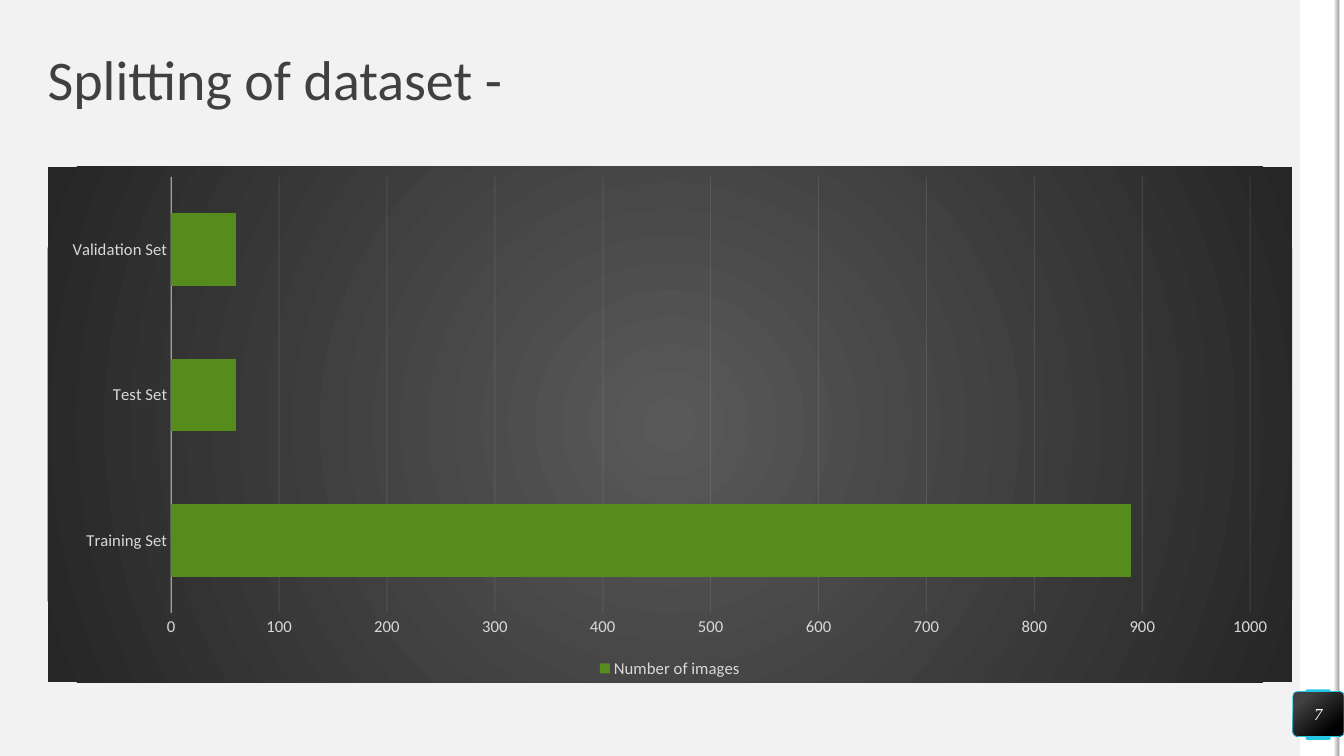
"""Build the slide that shows how the image dataset is split."""
from lxml import etree
from pptx import Presentation
from pptx.chart.data import CategoryChartData
from pptx.dml.color import RGBColor
from pptx.enum.chart import XL_CHART_TYPE as ChartType, XL_LEGEND_POSITION as LegendPosition
from pptx.enum.chart import XL_TICK_MARK as TickMark
from pptx.enum.shapes import MSO_SHAPE as Shape
from pptx.enum.text import MSO_ANCHOR as Anchor, MSO_AUTO_SIZE as AutoSize, PP_ALIGN as Align
from pptx.oxml import parse_xml
from pptx.oxml.ns import nsdecls, qn
from pptx.util import Pt

WHITE = RGBColor(0xFF, 0xFF, 0xFF)
PALE = RGBColor(0xF2, 0xF2, 0xF2)
SILVER = RGBColor(0xA6, 0xA6, 0xA6)
LABEL = RGBColor(0xD9, 0xD9, 0xD9)
CHARCOAL = RGBColor(0x40, 0x40, 0x40)
BLACK = RGBColor(0, 0, 0)
CYAN = RGBColor(0x25, 0xC6, 0xE3)
GREEN = RGBColor(0x55, 0x8C, 0x1C)
CHART_CENTRE = RGBColor(0x59, 0x59, 0x59)
CHART_EDGE = RGBColor(0x26, 0x26, 0x26)


def set_gradient(fill, stops, angle):
    """Apply a two-stop linear gradient with a counter-clockwise angle."""
    fill.gradient()
    fill.gradient_angle = angle
    for stop, (position, color) in zip(fill.gradient_stops, stops):
        stop.position = position
        stop.color.rgb = color


def add_block(slide, place, color=None, corner=None):
    """Add a plain rectangle, rounded if a corner ratio is given."""
    kind = Shape.RECTANGLE if corner is None else Shape.ROUNDED_RECTANGLE
    block = slide.shapes.add_shape(kind, *map(Pt, place))
    block.shadow.inherit = False
    block.line.fill.background()
    if corner is not None:
        block.adjustments[0] = corner
    if color is not None:
        block.fill.solid()
        block.fill.fore_color.rgb = color
    return block


def write_text(shape, text, size, name, color, align):
    """Write one paragraph in a frame without margins."""
    frame = shape.text_frame
    frame.margin_left = frame.margin_top = frame.margin_right = frame.margin_bottom = 0
    frame.vertical_anchor = Anchor.MIDDLE
    frame.auto_size = AutoSize.NONE
    frame.word_wrap = True
    para = frame.paragraphs[0]
    para.text = text
    para.alignment = align
    set_font(para.font, size, color, name)
    return para


def set_font(font, size, color, name="Calibri"):
    """Set the size, colour and typeface of a font."""
    font.size = Pt(size)
    font.color.rgb = color
    font.name = name


def set_faint_line(axis, line, width, opacity):
    """Draw an axis or grid line in a partly transparent pale colour."""
    line.width = Pt(width)
    line.color.rgb = PALE
    for color in axis._element.xpath(".//a:ln/a:solidFill/a:srgbClr"):
        etree.SubElement(color, qn("a:alpha"), val=str(opacity * 1000))


def set_chart_background(chart):
    """Fill the chart area with a gradient that darkens from its centre."""
    chart._chartSpace.find(qn("c:chart")).addnext(parse_xml(
        f'<c:spPr {nsdecls("c", "a")}><a:gradFill><a:gsLst>'
        f'<a:gs pos="0"><a:srgbClr val="{CHART_CENTRE}"/></a:gs>'
        f'<a:gs pos="100000"><a:srgbClr val="{CHART_EDGE}"/></a:gs></a:gsLst>'
        '<a:path path="circle"><a:fillToRect l="50000" t="50000" r="50000" b="50000"/>'
        '</a:path></a:gradFill><a:ln><a:noFill/></a:ln></c:spPr>'))


def add_split_chart(slide):
    """Add the bar chart of image counts per set."""
    data = CategoryChartData()
    data.categories = ["Training Set", "Test Set", "Validation Set"]
    data.add_series("Number of images", [890, 60, 60])
    place = map(Pt, (34, 119, 889, 368.5))
    chart = slide.shapes.add_chart(ChartType.BAR_CLUSTERED, *place, data).chart
    set_font(chart.font, 11.9, LABEL)
    set_chart_background(chart)
    chart.has_title = False
    chart.has_legend = True
    chart.legend.position = LegendPosition.BOTTOM
    chart.legend.include_in_layout = False
    set_font(chart.legend.font, 11.9, LABEL)

    plot = chart.plots[0]
    plot.gap_width = 100
    plot.vary_by_categories = False
    bars = plot.series[0].format.fill
    bars.solid()
    bars.fore_color.rgb = GREEN

    sets, counts = chart.category_axis, chart.value_axis
    counts.minimum_scale, counts.maximum_scale, counts.major_unit = 0, 1000, 100
    counts.has_major_gridlines = True
    set_faint_line(sets, sets.format.line, 1, 54)
    set_faint_line(counts, counts.major_gridlines.format.line, 0.75, 10)
    counts.format.line.fill.background()
    for axis in (sets, counts):
        axis.major_tick_mark = axis.minor_tick_mark = TickMark.NONE
        set_font(axis.tick_labels.font, 11.9, LABEL)


def add_side_band(slide):
    """Add the white band and its shaded edge on the right."""
    add_block(slide, (928.5, 0, 28.5, 540), WHITE)
    add_block(slide, (932.5, 492.5, 18, 36), CYAN, 0.07)
    add_block(slide, (956.5, 0, 3.5, 540), WHITE)
    edge = add_block(slide, (953, 0, 3.5, 540))
    set_gradient(edge.fill, [(0, PALE), (1, SILVER)], 0)


def add_page_number(slide, number):
    """Add the dark badge with the page number."""
    badge = add_block(slide, (923.5, 494, 36.5, 32), corner=0.1)
    set_gradient(badge.fill, [(0.2, CHARCOAL), (0.82, BLACK)], 310)
    badge.line.color.rgb = CYAN
    badge.line.width = Pt(0.5)
    para = write_text(badge, number, 12, "Times New Roman", WHITE, Align.CENTER)
    para.font.italic = True


def main():
    """Build and save the deck."""
    deck = Presentation()
    deck.slide_width, deck.slide_height = Pt(960), Pt(540)
    slide = deck.slides.add_slide(deck.slide_layouts[5])
    slide.background.fill.solid()
    slide.background.fill.fore_color.rgb = PALE
    add_side_band(slide)
    title = slide.shapes.title
    title.left, title.top, title.width, title.height = map(Pt, (34, 42, 430.5, 34))
    para = write_text(title, "Splitting of dataset -", 40, "Calibri", CHARCOAL, Align.LEFT)
    para.line_spacing = 0.9
    add_page_number(slide, "7")
    add_split_chart(slide)
    deck.save("out.pptx")


if __name__ == "__main__":
    main()
